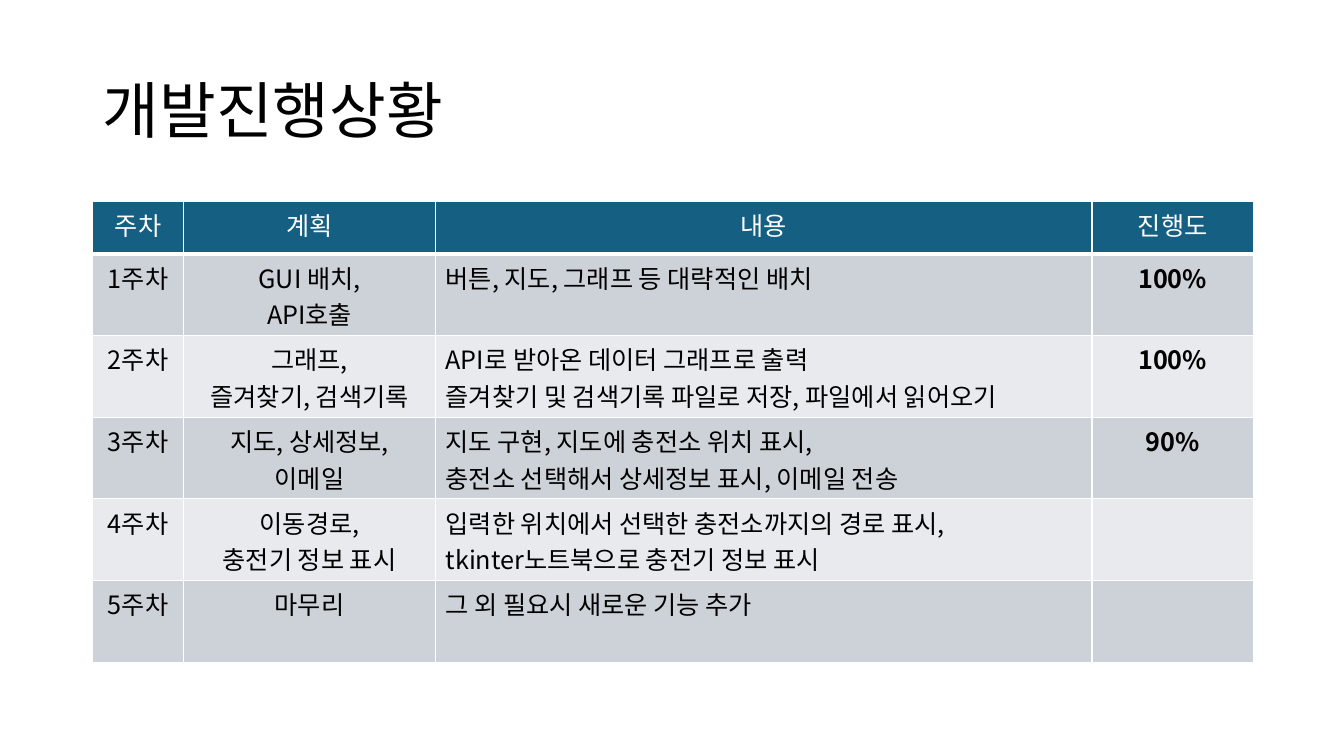
from dataclasses import dataclass

from lxml import etree
from pptx import Presentation
from pptx.dml.color import RGBColor
from pptx.enum.text import MSO_ANCHOR, PP_ALIGN
from pptx.oxml.ns import qn
from pptx.util import Emu, Pt

CENTER, LEFT = PP_ALIGN.CENTER, PP_ALIGN.LEFT
MIDDLE = MSO_ANCHOR.MIDDLE
EMU_PER_PX = 9144  # 100 px to the inch
BLANK_LAYOUT = 6


@dataclass(frozen=True)
class Theme:
    font: str = "Noto Sans CJK KR"
    ink: str = "000000"
    white: str = "FFFFFF"
    header: str = "156082"
    bands: tuple = ("CCD2D8", "E8EAED")
    title_size: int = 44
    table_size: int = 18
    grid_line: int = 1
    header_line: int = 3


def px(length):
    return Emu(length * EMU_PER_PX)


class SlideBuilder:
    def __init__(self, slide, theme):
        self.slide = slide
        self.theme = theme

    def format_text(self, paragraph, size, color, align=LEFT, bold=False):
        paragraph.alignment = align
        for run in paragraph.runs:
            font = run.font
            font.name, font.size, font.bold = self.theme.font, Pt(size), bold
            font.color.rgb = RGBColor.from_string(color)
            # Hangul takes its face from the East Asian font
            east_asian = etree.SubElement(run._r.get_or_add_rPr(), qn("a:ea"))
            east_asian.set("typeface", self.theme.font)

    def title(self, text, left, top, width, height):
        shape = self.slide.shapes.add_textbox(px(left), px(top), px(width), px(height))
        text_frame = shape.text_frame
        text_frame.word_wrap = True
        text_frame.vertical_anchor = MIDDLE
        text_frame.text = text
        paragraph = text_frame.paragraphs[0]
        paragraph.line_spacing = 0.9
        self.format_text(paragraph, self.theme.title_size, self.theme.ink)

    def borders(self, cell, bottom_width):
        properties = cell._tc.get_or_add_tcPr()
        line = self.theme.grid_line
        widths = {"L": line, "R": line, "T": line, "B": bottom_width}
        for side, width in widths.items():
            border = etree.SubElement(properties, qn(f"a:ln{side}"), w=str(Pt(width)))
            fill = etree.SubElement(border, qn("a:solidFill"))
            etree.SubElement(fill, qn("a:srgbClr"), val=self.theme.white)

    def cell(self, cell, text, fill, color, align, bold, bottom_width):
        self.borders(cell, bottom_width)
        cell.fill.solid()
        cell.fill.fore_color.rgb = RGBColor.from_string(fill)
        cell.text_frame.text = text
        for paragraph in cell.text_frame.paragraphs:
            self.format_text(paragraph, self.theme.table_size, color, align, bold)

    def table(self, rows, left, top, column_widths, row_heights):
        theme = self.theme
        frame = self.slide.shapes.add_table(
            len(rows), len(column_widths), px(left), px(top),
            px(sum(column_widths)), px(sum(row_heights)))
        table = frame.table
        for column, width in zip(table.columns, column_widths):
            column.width = px(width)
        for row, height in zip(table.rows, row_heights):
            row.height = px(height)

        for row_index, row in enumerate(rows):
            is_header = row_index == 0
            fill = theme.header if is_header else theme.bands[(row_index - 1) % 2]
            color = theme.white if is_header else theme.ink
            bottom_width = theme.header_line if is_header else theme.grid_line
            for column_index, text in enumerate(row):
                is_content = column_index == CONTENT_COLUMN and not is_header
                is_progress = column_index == PROGRESS_COLUMN and not is_header
                self.cell(table.cell(row_index, column_index), text, fill, color,
                          LEFT if is_content else CENTER, is_progress, bottom_width)


CONTENT_COLUMN, PROGRESS_COLUMN = 2, 3
HEADER = ("주차", "계획", "내용", "진행도")
WEEKS = [
    ("GUI 배치,\nAPI호출", "버튼, 지도, 그래프 등 대략적인 배치", "100%"),
    ("그래프,\n즐겨찾기, 검색기록",
     "API로 받아온 데이터 그래프로 출력\n"
     "즐겨찾기 및 검색기록 파일로 저장, 파일에서 읽어오기", "100%"),
    ("지도, 상세정보,\n이메일",
     "지도 구현, 지도에 충전소 위치 표시,\n"
     "충전소 선택해서 상세정보 표시, 이메일 전송", "90%"),
    ("이동경로,\n충전기 정보 표시",
     "입력한 위치에서 선택한 충전소까지의 경로 표시,\n"
     "tkinter노트북으로 충전기 정보 표시", ""),
    ("마무리", "그 외 필요시 새로운 기능 추가", ""),
]


def main():
    presentation = Presentation()
    presentation.slide_width, presentation.slide_height = px(1333), px(750)
    slide = presentation.slides.add_slide(presentation.slide_layouts[BLANK_LAYOUT])
    builder = SlideBuilder(slide, Theme())

    # Title
    builder.title("개발진행상황", 92, 40, 1150, 145)

    # Weekly progress table
    rows = [HEADER] + [(f"{week}주차", *details)
                       for week, details in enumerate(WEEKS, start=1)]
    builder.table(rows, 92, 200, (90, 250, 651, 160), [52] + [81] * len(WEEKS))

    presentation.save("out.pptx")


if __name__ == "__main__":
    main()
